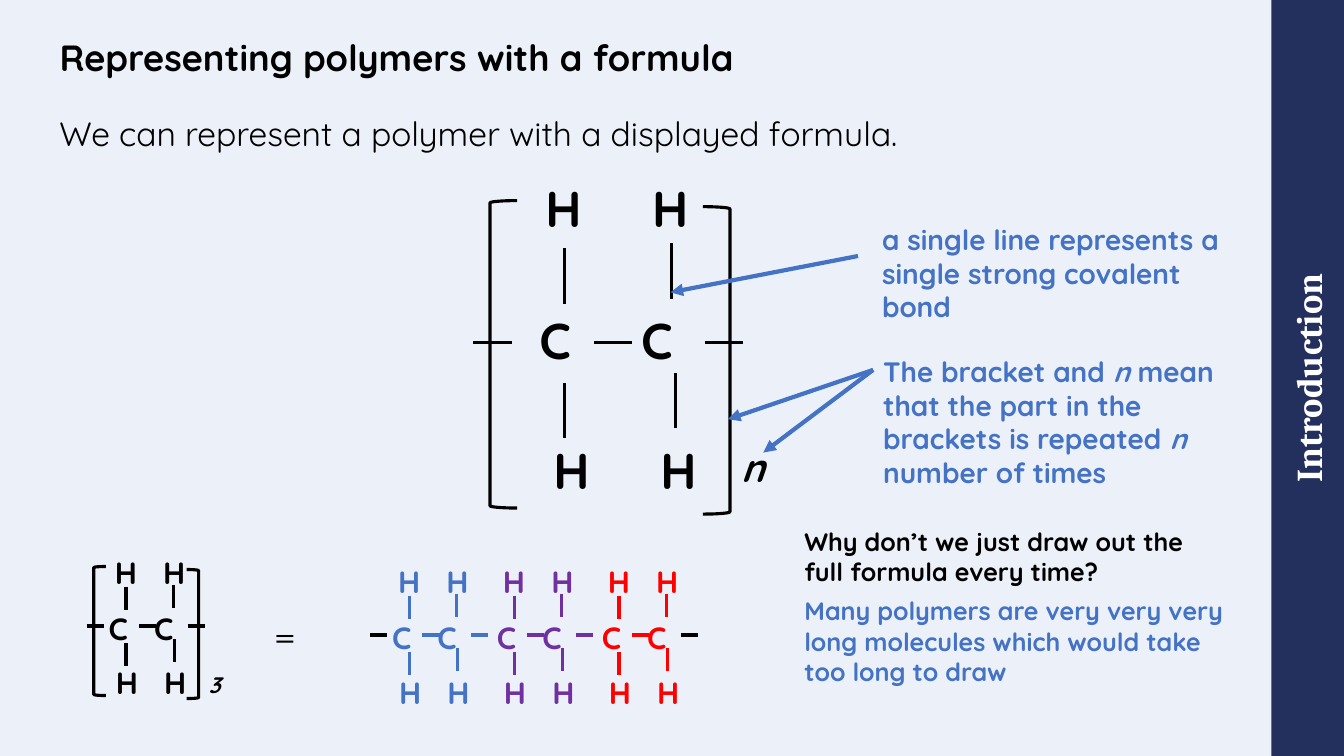
from lxml import etree
from pptx import Presentation
from pptx.dml.color import RGBColor
from pptx.enum.shapes import MSO_CONNECTOR, MSO_SHAPE
from pptx.enum.text import MSO_ANCHOR, MSO_AUTO_SIZE, PP_ALIGN
from pptx.oxml.ns import qn
from pptx.util import Pt

PX = 9144  # 100 px to the inch
BLACK = RGBColor(0x00, 0x00, 0x00)
WHITE = RGBColor(0xFF, 0xFF, 0xFF)
PALE = RGBColor(0xEC, 0xF1, 0xF9)
NAVY = RGBColor(0x23, 0x2F, 0x5D)
BLUE = RGBColor(0x44, 0x72, 0xC4)
PURPLE = RGBColor(0x70, 0x30, 0xA0)
RED = RGBColor(0xFF, 0x00, 0x00)
SANS, SERIF = "Quicksand", "Cambria"
LINE = MSO_CONNECTOR.STRAIGHT
RECT, BRACKET = MSO_SHAPE.RECTANGLE, MSO_SHAPE.LEFT_BRACKET
FIT, FIXED = MSO_AUTO_SIZE.SHAPE_TO_FIT_TEXT, MSO_AUTO_SIZE.NONE
MIDDLE, BOTTOM = MSO_ANCHOR.MIDDLE, MSO_ANCHOR.BOTTOM
CENTER = PP_ALIGN.CENTER

# Bonds and brackets of one repeat unit, drawn on a grid of this size
GRID = (238, 311)
BONDS = {
    "left": (-17, 141, 22, 141),
    "mid": (103, 141, 141, 141),
    "right": (213, 141, 251, 141),
    "up1": (74, 47, 74, 103),
    "up2": (180, 42, 180, 98),
    "down1": (74, 181, 74, 236),
    "down2": (184, 171, 184, 226),
}
BARS = [((0, 0, 27, 305), 0), ((211, 6, 27, 305), 180)]

# Rows of atoms: letter, offset x, offset y, tab stop
LARGE = {
    "rows": [("C", 39, 103, 101), ("H", 53, 232, 106), ("H", 45, -28, 106)],
    "area": (235, 108), "size": 36,
    "count": (239, 236, 116, 108), "small": 28,
}
SMALL = {
    "rows": [("C", 5, 38, 45), ("H", 12, 92, 48), ("H", 11, -18, 48)],
    "area": (102, 46), "size": 22,
    "count": (104, 99, 50, 46), "small": 16,
}


def emu(*vals):
    return [round(v * PX) for v in vals]


def style(font, **form):
    form = {"name": SANS, "bold": True, **form}
    font.color.rgb = form.pop("color", BLACK)
    font.size = Pt(form.pop("size"))
    for key, val in form.items():
        setattr(font, key, val)


def clear(frame):
    for side in ("left", "right", "top", "bottom"):
        setattr(frame, "margin_" + side, 0)


def write(slide, box, parts, fit=FIT, wrap=True, tab=None, **form):
    """Add a text box; parts holds (text, italic) pairs."""
    frame = slide.shapes.add_textbox(*emu(*box)).text_frame
    frame.word_wrap, frame.auto_size = wrap, fit
    para = frame.paragraphs[0]
    if tab:
        tabs = etree.SubElement(para._p.get_or_add_pPr(), qn("a:tabLst"))
        etree.SubElement(tabs, qn("a:tab"), pos=str(tab * PX), algn="l")
    for text, slant in parts:
        run = para.add_run()
        run.text = text
        style(run.font, italic=slant, **form)


def draw(slide, ends, color, width=2.25, arrow=False):
    link = slide.shapes.add_connector(LINE, *emu(*ends))
    link.line.color.rgb = color
    link.line.width = Pt(width)
    if arrow:
        etree.SubElement(link.line._ln, qn("a:tailEnd"), type="triangle")
    etree.SubElement(link._element.spPr, qn("a:effectLst"))


def place(box, part):
    """Map a pair or two pairs of grid values into the box."""
    x, y, w, h = box
    return [round((x, y)[i % 2] + v * (w, h)[i % 2] / GRID[i % 2])
            for i, v in enumerate(part)]


def unit(slide, box, kind, color, bonds):
    x, y = box[:2]
    for atom, dx, dy, tab in kind["rows"]:
        write(slide, (x + dx, y + dy, *kind["area"]), [(f"{atom}\t{atom}", False)],
              fit=FIXED, tab=tab, size=kind["size"], color=color)
    for name in bonds:
        draw(slide, place(box, BONDS[name]), color)


def formula(slide, box, kind, count):
    unit(slide, box, kind, BLACK, BONDS)
    for (dx, dy, w, h), turn in BARS:
        left, top, right, base = place(box, (dx, dy, dx + w, dy + h))
        bar = slide.shapes.add_shape(
            BRACKET, *emu(left, top, right - left, base - top))
        bar.rotation = turn
        bar.shadow.inherit = False
        bar.fill.background()
        bar.line.color.rgb = BLACK
        bar.line.width = Pt(2.25)
    dx, dy, w, h = kind["count"]
    write(slide, (box[0] + dx, box[1] + dy, w, h), [(count, True)],
          fit=FIXED, size=kind["small"])


def chain(slide, box, colors):
    """Lay the repeat units side by side, with black bonds at both ends."""
    x, y, w, h = box
    step = w // len(colors)
    inner = [name for name in BONDS if name not in ("left", "right")]
    for i, color in enumerate(colors):
        cell = (x + i * step, y, step, h)
        unit(slide, cell, SMALL, color, inner)
        if i == 0:
            draw(slide, place(cell, BONDS["left"]), BLACK)
        last = i == len(colors) - 1
        draw(slide, place(cell, BONDS["right"]), BLACK if last else color)


def heading(slide, box):
    title = slide.shapes.title
    title.left, title.top, title.width, title.height = emu(*box)
    frame = title.text_frame
    frame.text = "Representing polymers with a formula"
    frame.vertical_anchor, frame.auto_size = BOTTOM, FIXED
    frame.word_wrap = True
    clear(frame)
    para = frame.paragraphs[0]
    para.alignment, para.line_spacing = PP_ALIGN.LEFT, 0.9
    style(para.runs[0].font, size=26)


def banner(slide, box):
    bar = slide.shapes.add_shape(RECT, *emu(*box))
    bar.rotation = 270
    bar.shadow.inherit = False
    bar.fill.solid()
    bar.fill.fore_color.rgb = NAVY
    bar.line.fill.background()
    frame = bar.text_frame
    frame.text = "Introduction"
    frame.vertical_anchor = MIDDLE
    clear(frame)
    frame.paragraphs[0].alignment = CENTER
    style(frame.paragraphs[0].runs[0].font, name=SERIF, size=26, color=WHITE)


def labels(slide, box):
    x, y, w, _ = box
    write(slide, (x, y, w, 111),
          [("a single line represents a single strong covalent bond", False)],
          size=20, color=BLUE)
    write(slide, (x + 1, y + 131, w, 145),
          [("The bracket and ", False), ("n", True),
           (" mean that the part in the brackets is repeated ", False),
           ("n", True), (" number of times", False)],
          size=20, color=BLUE)
    for ends in [(-14, 38, -200, 74), (1, 151, -108, 233), (1, 151, -143, 200)]:
        spot = [(x, y)[i % 2] + v for i, v in enumerate(ends)]
        draw(slide, spot, BLUE, width=3, arrow=True)


def question(slide, box):
    x, y, w, _ = box
    write(slide, (x, y, w - 9, 71),
          [("Why don’t we just draw out the full formula every time?", False)],
          size=18)
    write(slide, (x, y + 69, w, 101),
          [("Many polymers are very very very long molecules "
            "which would take too long to draw", False)],
          size=18, color=BLUE)


def main():
    deck = Presentation()
    deck.slide_width, deck.slide_height = emu(1333, 750)
    slide = deck.slides.add_slide(deck.slide_layouts[5])
    slide.background.fill.solid()
    slide.background.fill.fore_color.rgb = PALE
    banner(slide, (922, 339, 750, 72))
    heading(slide, (59, 0, 1161, 79))
    write(slide, (49, 107, 906, 50),
          [("We can represent a polymer with a displayed formula.", False)],
          wrap=False, size=24, bold=False)
    formula(slide, (93, 562, 104, 131), SMALL, "3")
    write(slide, (262, 602, 45, 57), [("=", False)],
          wrap=False, name=SERIF, size=28, bold=False)
    chain(slide, (374, 571, 312, 131), [BLUE, PURPLE, RED])
    formula(slide, (486, 199, *GRID), LARGE, "n")
    labels(slide, (865, 216, 355, 276))
    question(slide, (788, 517, 448, 170))
    deck.save("out.pptx")


if __name__ == "__main__":
    main()
